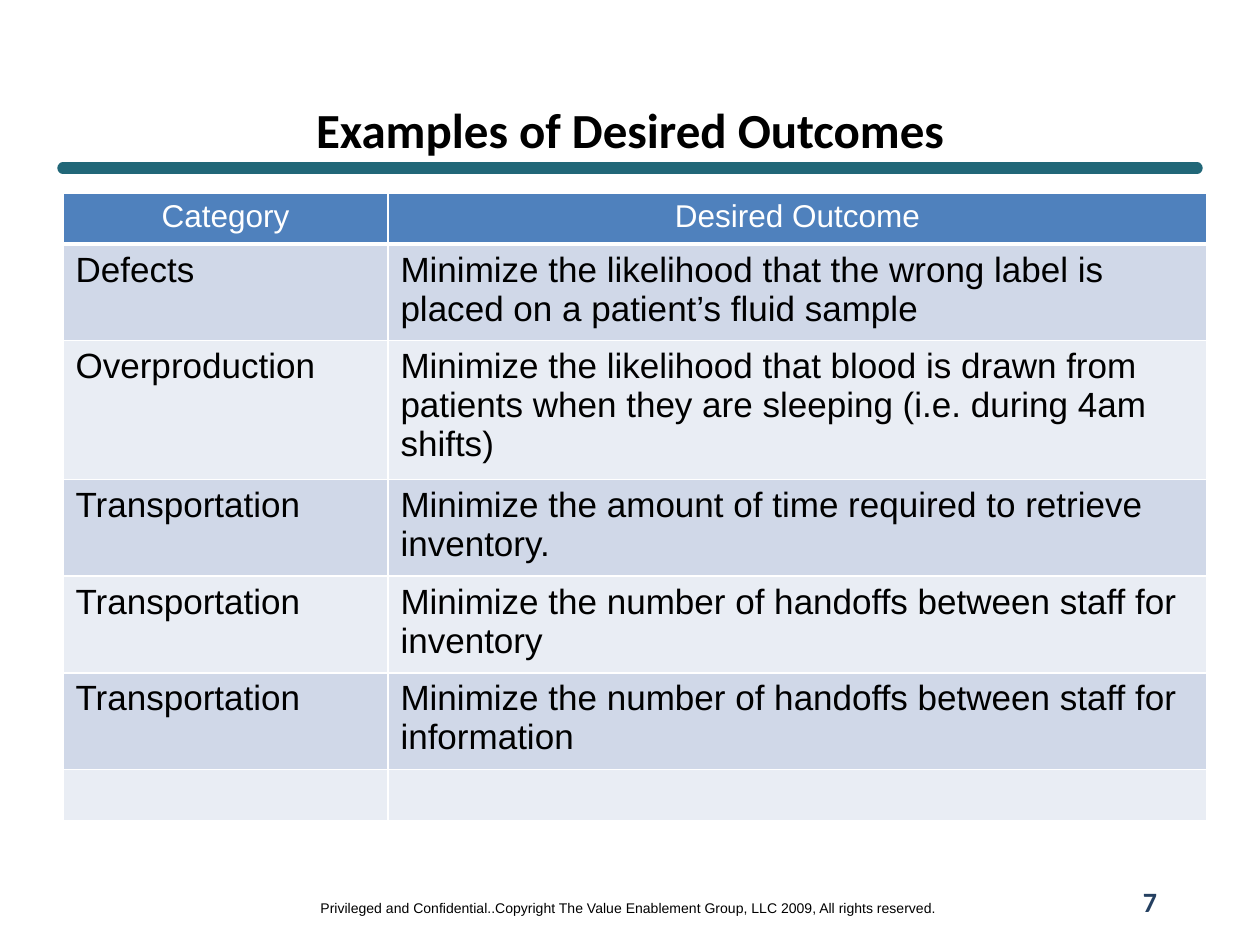
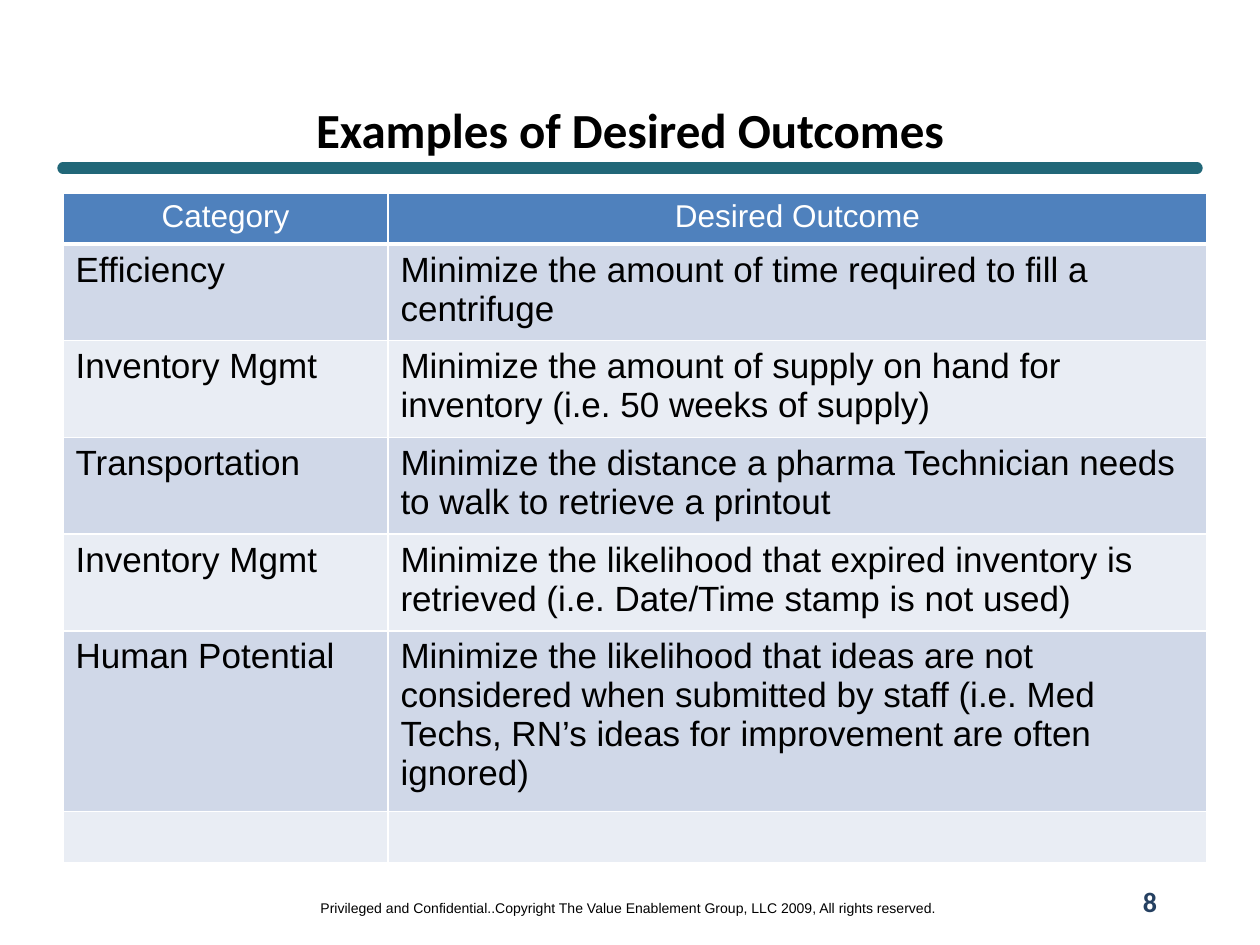
from lxml import etree
from pptx import Presentation
from pptx.dml.color import RGBColor
from pptx.enum.shapes import MSO_CONNECTOR
from pptx.enum.text import MSO_ANCHOR, PP_ALIGN
from pptx.oxml.ns import qn
from pptx.util import Cm, Pt

BLACK, WHITE, TEAL, NAVY = "000000", "FFFFFF", "216778", "254061"
HEADER_FILL = "4F81BD"
BAND_FILLS = ("D0D8E8", "E9EDF4")

TITLE_FORMAT = {"name": "Calibri", "size": Pt(28), "bold": True, "color": BLACK}
NUMBER_FORMAT = {"name": "Calibri", "size": Pt(16), "bold": True, "color": NAVY}
FOOTER_FORMAT = {"name": "Arial", "size": Pt(8), "bold": False, "color": BLACK}
HEADER_FORMAT = {"name": "Arial", "size": Pt(18), "bold": False, "color": WHITE}
BODY_FORMAT = {"name": "Arial", "size": Pt(20), "bold": False, "color": BLACK}

TITLE = "Examples of Desired Outcomes"
FOOTER = ("Privileged and Confidential..Copyright The Value Enablement Group, "
          "LLC 2009, All rights reserved.")
HEADINGS = ("Category", "Desired Outcome")
EMPTY_ROW = ("", "")
COLUMN_WIDTHS = (6.55, 16.51)
ROW_HEIGHT = 1.03
FIRST_NUMBER = 7

OUTCOMES = [
    [
        ("Defects", "Minimize the likelihood that the wrong label is placed on "
                    "a patient’s fluid sample"),
        ("Overproduction", "Minimize the likelihood that blood is drawn from patients "
                           "when they are sleeping (i.e. during 4am shifts)"),
        ("Transportation", "Minimize the amount of time required to retrieve inventory."),
        ("Transportation", "Minimize the number of handoffs between staff for inventory"),
        ("Transportation", "Minimize the number of handoffs between staff for information"),
    ],
    [
        ("Efficiency", "Minimize the amount of time required to fill a centrifuge"),
        ("Inventory Mgmt", "Minimize the amount of supply on hand for inventory "
                           "(i.e. 50 weeks of supply)"),
        ("Transportation", "Minimize the distance a pharma Technician needs to walk "
                           "to retrieve a printout"),
        ("Inventory Mgmt", "Minimize the likelihood that expired inventory is retrieved "
                           "(i.e. Date/Time stamp is not used)"),
        ("Human Potential", "Minimize the likelihood that ideas are not considered when "
                            "submitted by staff (i.e. Med Techs, RN’s ideas for "
                            "improvement are often ignored)"),
    ],
]


def color(hex_text):
    return RGBColor.from_string(hex_text)


def format_paragraph(paragraph, text, text_format, alignment):
    paragraph.alignment = alignment
    run = paragraph.add_run()
    run.text = text
    for name, value in text_format.items():
        if name == "color":
            run.font.color.rgb = color(value)
        else:
            setattr(run.font, name, value)


def add_borders(cell, bottom_width):
    """Draw white cell borders; must run before the cell is filled."""
    properties = cell._tc.get_or_add_tcPr()
    widths = {"lnL": 1, "lnR": 1, "lnT": 1, "lnB": bottom_width}
    for side, width in widths.items():
        line = etree.SubElement(properties, qn(f"a:{side}"), w=str(Pt(width)))
        fill = etree.SubElement(line, qn("a:solidFill"))
        etree.SubElement(fill, qn("a:srgbClr"), val=WHITE)


class OutcomeDeck:
    """Holds the shared style and the slide being built."""

    def __init__(self):
        self.presentation = Presentation()
        self.presentation.slide_width = Cm(25.4)
        self.presentation.slide_height = Cm(19.05)
        self.slide = None

    def add_slide(self, number):
        self.slide = self.presentation.slides.add_slide(self.presentation.slide_layouts[6])
        self.add_rule()
        self.add_text(FOOTER, (6.12, 18.01, 13.11, 0.61), FOOTER_FORMAT,
                      MSO_ANCHOR.TOP, wrap=False)
        self.add_text(TITLE, (1.27, 2.11, 22.86, 0.97), TITLE_FORMAT)
        self.add_text(str(number), (22.23, 17.65, 1.9, 1.02), NUMBER_FORMAT)

    def add_rule(self):
        """Add the thick round-ended line below the title."""
        rule = self.slide.shapes.add_connector(
            MSO_CONNECTOR.STRAIGHT, Cm(1.27), Cm(3.39), Cm(24.13), Cm(3.39))
        rule.line.color.rgb = color(TEAL)
        rule.line.width = Pt(6.5)
        properties = rule._element.spPr
        properties.find(qn("a:ln")).set("cap", "rnd")
        etree.SubElement(properties, qn("a:effectLst"))

    def add_text(self, text, box, text_format, anchor=MSO_ANCHOR.MIDDLE, wrap=True):
        shape = self.slide.shapes.add_textbox(*map(Cm, box))
        shape.text_frame.word_wrap = wrap
        shape.text_frame.vertical_anchor = anchor
        format_paragraph(shape.text_frame.paragraphs[0], text, text_format, PP_ALIGN.CENTER)

    def add_table(self, outcomes):
        rows = [HEADINGS, *outcomes, EMPTY_ROW]
        table = self.slide.shapes.add_table(
            len(rows), len(HEADINGS), Cm(1.27), Cm(3.89),
            Cm(sum(COLUMN_WIDTHS)), Cm(ROW_HEIGHT * len(rows))).table
        for column, width in zip(table.columns, COLUMN_WIDTHS):
            column.width = Cm(width)
        for row_index, texts in enumerate(rows):
            is_header = row_index == 0
            table.rows[row_index].height = Cm(ROW_HEIGHT)
            for column_index, text in enumerate(texts):
                cell = table.cell(row_index, column_index)
                add_borders(cell, 3 if is_header else 1)
                cell.fill.solid()
                cell.fill.fore_color.rgb = color(
                    HEADER_FILL if is_header else BAND_FILLS[(row_index - 1) % 2])
                if text:
                    format_paragraph(
                        cell.text_frame.paragraphs[0], text,
                        HEADER_FORMAT if is_header else BODY_FORMAT,
                        PP_ALIGN.CENTER if is_header else PP_ALIGN.LEFT)


def main():
    deck = OutcomeDeck()
    for number, outcomes in enumerate(OUTCOMES, FIRST_NUMBER):
        deck.add_slide(number)
        deck.add_table(outcomes)
    deck.presentation.save("out.pptx")


if __name__ == "__main__":
    main()
